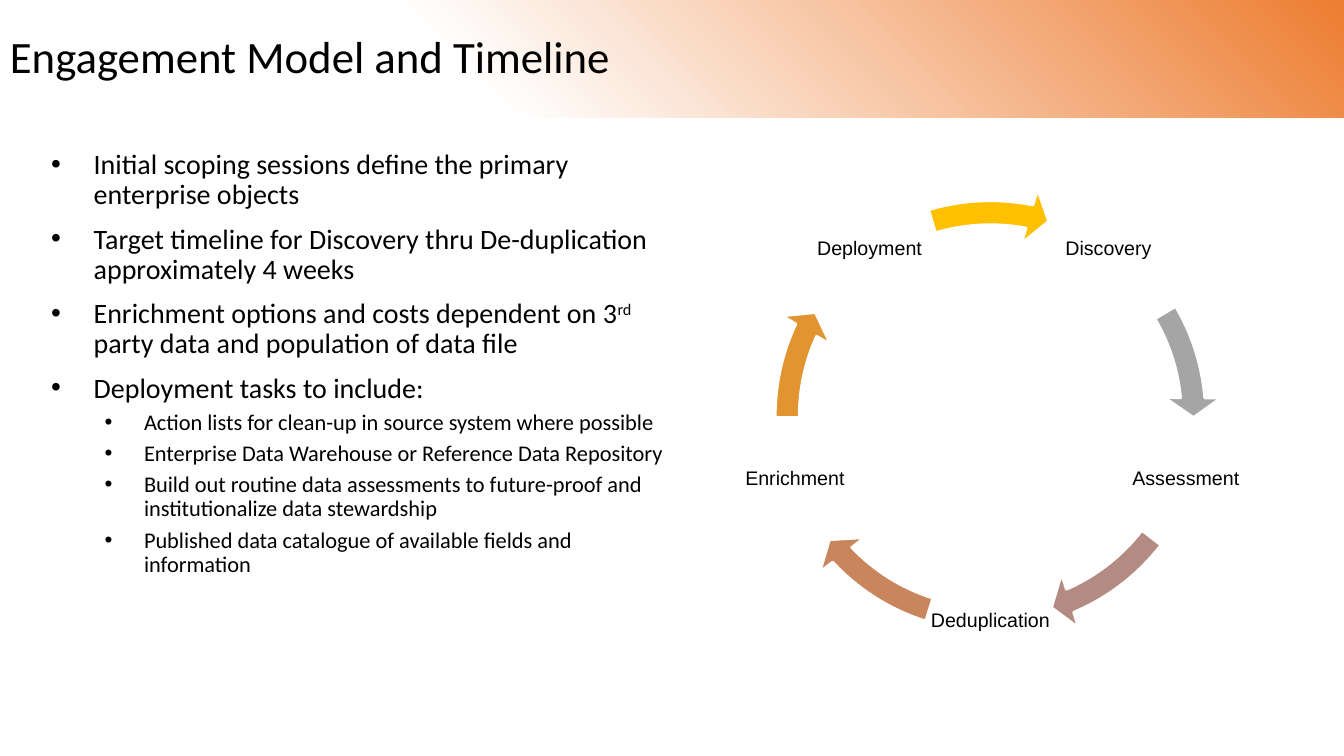
import math

from pptx import Presentation
from pptx.dml.color import RGBColor
from pptx.enum.shapes import MSO_SHAPE
from pptx.enum.text import MSO_ANCHOR, PP_ALIGN
from pptx.oxml import parse_xml
from pptx.oxml.ns import nsdecls
from pptx.util import Cm, Pt

RECT, ARROW = MSO_SHAPE.RECTANGLE, MSO_SHAPE.CIRCULAR_ARROW
TOP, MIDDLE = MSO_ANCHOR.TOP, MSO_ANCHOR.MIDDLE
LEFT, CENTER = PP_ALIGN.LEFT, PP_ALIGN.CENTER

COLORS = {
    "text": "000000", "white": "FFFFFF", "orange": "ED7D31",
    "gray": "A5A5A5", "rose": "B48B83", "copper": "C9855C",
    "amber": "E19430", "gold": "FFC000",
}

# Per bullet level: left margin and hanging indent in cm, space before and size in points
LEVELS = [
    {"margin": 1.27, "indent": -1.07, "before": 10, "size": 20},
    {"margin": 2.54, "indent": -0.99, "before": 5, "size": 16},
]

# Level and runs; every second run is superscript
BULLETS = [
    (0, ["Initial scoping sessions define the primary enterprise objects"]),
    (0, ["Target timeline for Discovery thru De-duplication approximately 4 weeks"]),
    (0, ["Enrichment options and costs dependent on 3", "rd",
         " party data and population of data file"]),
    (0, ["Deployment tasks to include:"]),
    (1, ["Action lists for clean-up in source system where possible"]),
    (1, ["Enterprise Data Warehouse or Reference Data Repository"]),
    (1, ["Build out routine data assessments to future-proof and "
         "institutionalize data stewardship"]),
    (1, ["Published data catalogue of available fields and information"]),
]

# Label, colour of the arrow after it, arrow start and end in degrees, arrow top in cm
STAGES = [
    ("Discovery ", "gray", 329.44, 354.89, 4.65),
    ("Assessment", "rose", 37.56, 66.91, 4.6),
    ("Deduplication", "copper", 107.49, 136.84, 4.65),
    ("Enrichment", "amber", 179.52, 204.96, 4.65),
    ("Deployment", "gold", 253.31, 281.1, 4.65),
]
CYCLE_X, CYCLE_Y, CYCLE_RADIUS = 24.96, 10.48, 5.18
CYCLE_SIZE, LABEL_WIDTH, LABEL_HEIGHT = 11.66, 3.5, 3.1


def rgb(name):
    return RGBColor.from_string(COLORS[name])


def set_all(obj, values):
    for name, value in values.items():
        setattr(obj, name, value)


class SlideBuilder:
    def __init__(self, slide, font="Calibri"):
        self.slide = slide
        self.font = font

    def run(self, p, text, size, font=None):
        r = p.add_run()
        r.text = text
        set_all(r.font, {"name": font or self.font, "size": Pt(size)})
        r.font.color.rgb = rgb("text")
        return r

    def text_frame(self, box, anchor, margins=(0.25, 0.13)):
        tf = self.slide.shapes.add_textbox(*map(Cm, box)).text_frame
        side, edge = map(Cm, margins)
        set_all(tf, {"word_wrap": True, "vertical_anchor": anchor,
                     "margin_left": side, "margin_right": side,
                     "margin_top": edge, "margin_bottom": edge})
        return tf

    def text(self, box, text, size, align=LEFT, font=None, **frame):
        p = self.text_frame(box, MIDDLE, **frame).paragraphs[0]
        set_all(p, {"alignment": align, "line_spacing": 0.9})
        self.run(p, text, size, font)

    def bullets(self, box, items):
        tf = self.text_frame(box, TOP)
        for i, (level, runs) in enumerate(items):
            style = LEVELS[level]
            p = tf.add_paragraph() if i else tf.paragraphs[0]
            set_all(p, {"level": level, "line_spacing": 0.9,
                        "space_before": Pt(style["before"])})
            pPr = p._p.get_or_add_pPr()
            pPr.set("marL", str(Cm(style["margin"])))
            pPr.set("indent", str(Cm(style["indent"])))
            pPr.append(parse_xml(f'<a:buFont {nsdecls("a")} typeface="Arial"/>'))
            pPr.append(parse_xml(f'<a:buChar {nsdecls("a")} char="•"/>'))
            for k, text in enumerate(runs):
                r = self.run(p, text, style["size"])
                if k % 2:
                    r._r.get_or_add_rPr().set("baseline", "30000")

    def shape(self, kind, box):
        sp = self.slide.shapes.add_shape(kind, *map(Cm, box))
        sp.shadow.inherit = False
        return sp

    def banner(self, box):
        """Rectangle with a gradient spreading from its bottom left corner."""
        sp = self.shape(RECT, box)
        sp.line.fill.background()
        stops = "".join(
            f'<a:gs pos="{pos * 1000}"><a:srgbClr val="{COLORS[name]}"/></a:gs>'
            for pos, name in [(0, "white"), (35, "white"), (100, "orange")])
        sp.fill.gradient()
        spPr = sp._element.spPr
        spPr.replace(spPr.find("{*}gradFill"), parse_xml(
            f'<a:gradFill {nsdecls("a")} rotWithShape="1"><a:gsLst>{stops}</a:gsLst>'
            '<a:path path="circle"><a:fillToRect t="100000" r="100000"/></a:path>'
            '</a:gradFill>'))

    def cycle_arrow(self, box, color, start, end):
        sp = self.shape(ARROW, box)
        degree = 0.6
        values = [0.052, 5.6 * degree, end * degree, start * degree, 0.061]
        for i, value in enumerate(values):
            sp.adjustments[i] = value
        sp.fill.solid()
        sp.fill.fore_color.rgb = rgb(color)
        sp.line.color.rgb = rgb("white")
        sp.line.width = Pt(2)


def main():
    prs = Presentation()
    prs.slide_width, prs.slide_height = Cm(33.87), Cm(19.05)
    s = SlideBuilder(prs.slides.add_slide(prs.slide_layouts[6]))

    s.banner((0, 0, 33.87, 2.97))
    s.text((0, 0, 26.85, 2.97), "Engagement Model and Timeline", 32)

    for i, (label, color, start, end, top) in enumerate(STAGES):
        angle = math.radians(-54 + i * 360 / len(STAGES))
        x = CYCLE_X + CYCLE_RADIUS * math.cos(angle) - LABEL_WIDTH / 2
        y = CYCLE_Y + CYCLE_RADIUS * math.sin(angle) - LABEL_HEIGHT / 2
        s.text((x, y, LABEL_WIDTH, LABEL_HEIGHT), label, 14, CENTER, "Arial",
               margins=(0.05, 0.05))
        s.cycle_arrow((CYCLE_X - CYCLE_SIZE / 2, top, CYCLE_SIZE, CYCLE_SIZE),
                      color, start, end)

    s.bullets((0.84, 3.66, 16.43, 13.54), BULLETS)
    prs.save("out.pptx")


if __name__ == "__main__":
    main()
